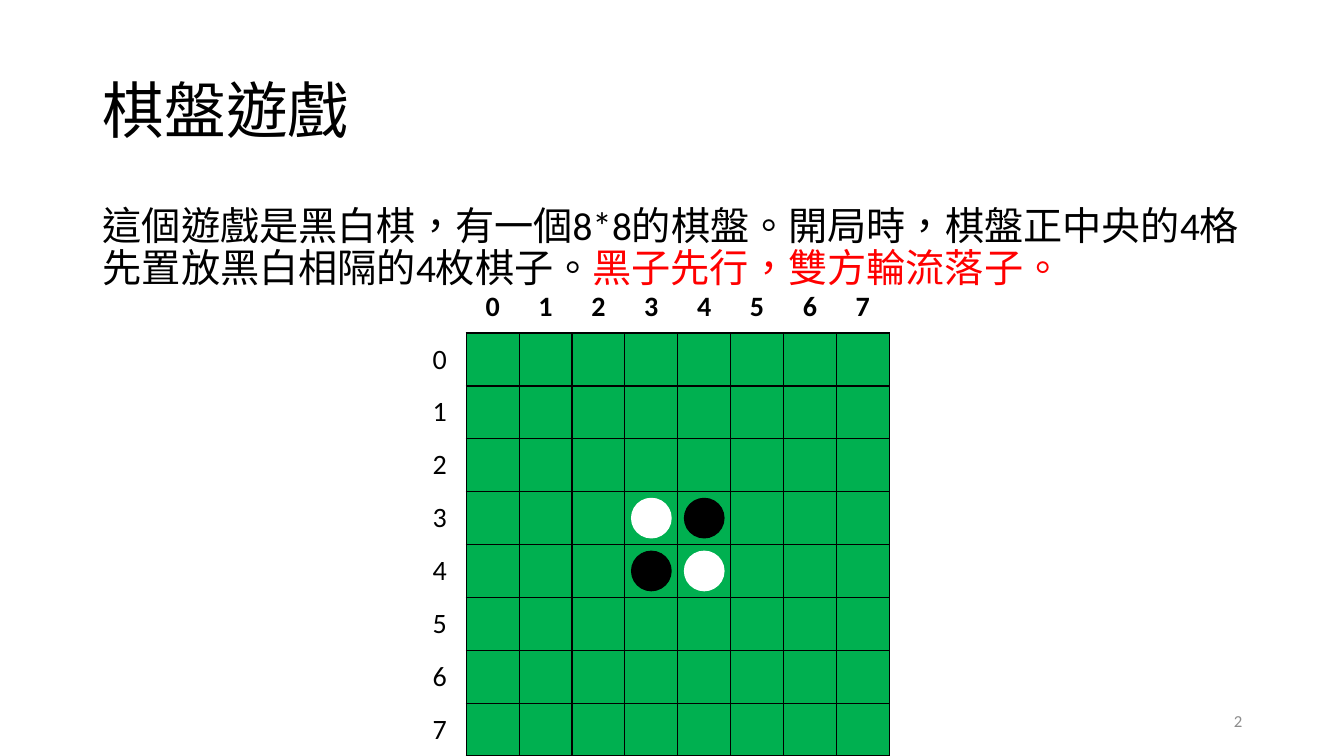
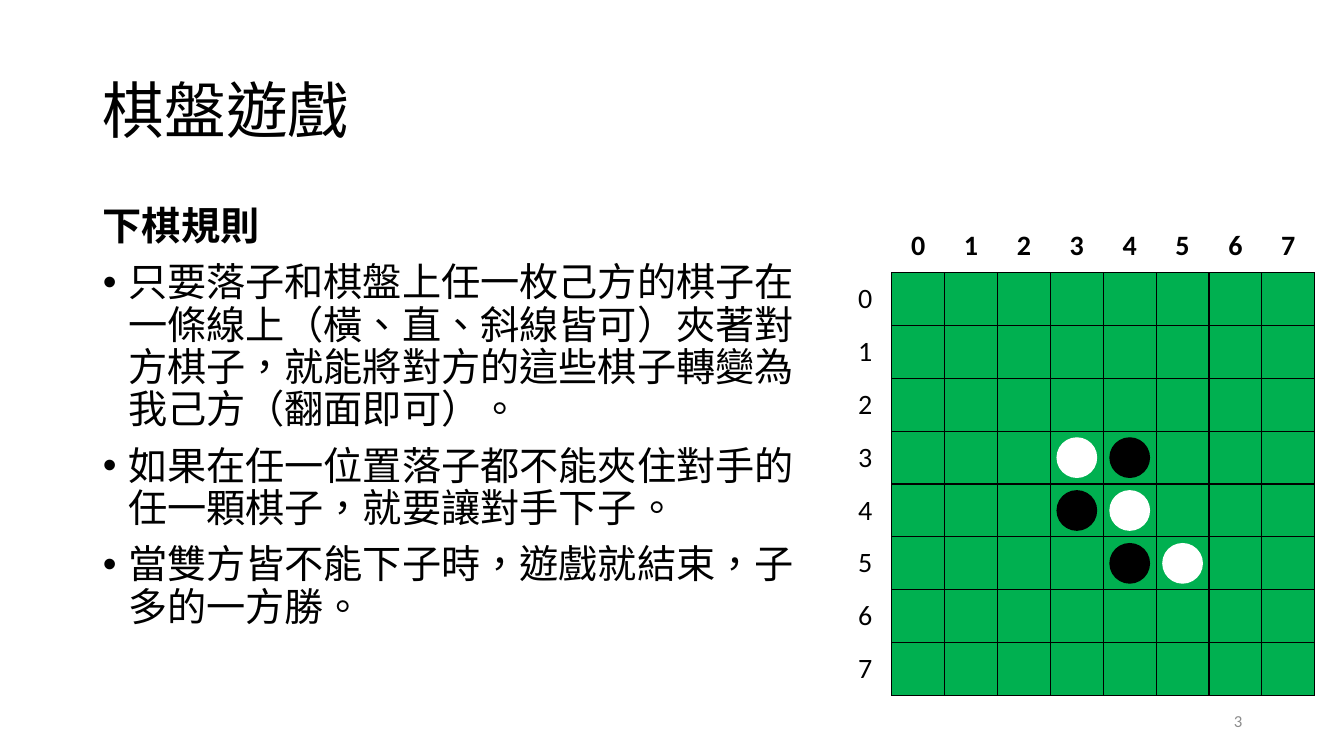
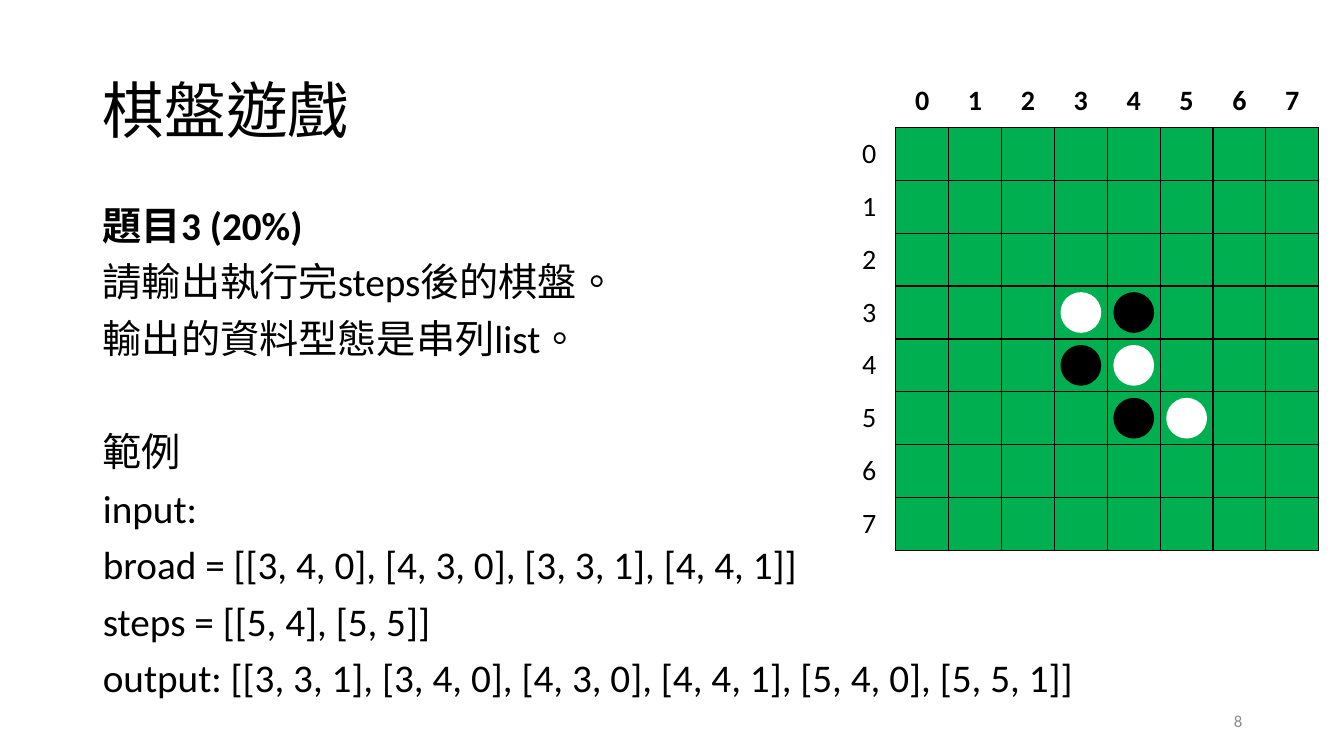
from lxml import etree
from pptx import Presentation
from pptx.dml.color import RGBColor
from pptx.enum.shapes import MSO_SHAPE
from pptx.enum.text import MSO_ANCHOR, MSO_AUTO_SIZE, PP_ALIGN
from pptx.oxml.ns import qn
from pptx.util import Emu, Pt

LEFT, CENTER, RIGHT = PP_ALIGN.LEFT, PP_ALIGN.CENTER, PP_ALIGN.RIGHT
TOP, MIDDLE = MSO_ANCHOR.TOP, MSO_ANCHOR.MIDDLE
NO_FIT = MSO_AUTO_SIZE.NONE
OVAL = MSO_SHAPE.OVAL

# Shared look: 100 px to the inch
SCALE = 9144
FONT, LANG = "Calibri", "zh-TW"
BLACK, WHITE, RED, GREY, GREEN = "000000", "FFFFFF", "FF0000", "8C8C8C", "00B050"
TITLE = "棋盤遊戲"
TITLE_BOX = (92, 40, 1150, 145)
NUMBER_BOX = (942, 695, 300, 40)
BOARD, SQUARES, DISC = 472, 8, 39
INDENT = 25

OPENING = [(3, 3, WHITE), (4, 3, BLACK), (3, 4, BLACK), (4, 4, WHITE)]
AFTER_STEPS = OPENING + [(5, 4, BLACK), (5, 5, WHITE)]


def px(n):
    return Emu(round(n * SCALE))


def rgb(color):
    return RGBColor.from_string(color)


def place(shape, box):
    shape.left, shape.top, shape.width, shape.height = map(px, box)


def add_run(p, text, size, color=BLACK, bold=False):
    r = p.add_run()
    r.text = text
    r.font.name, r.font.size, r.font.bold = FONT, Pt(size), bold
    r.font.color.rgb = rgb(color)
    r._r.get_or_add_rPr().set("lang", LANG)


def set_bullet(p, bullet):
    pPr = p._p.get_or_add_pPr()
    indent = px(INDENT) if bullet else 0
    pPr.set("marL", str(indent))
    pPr.set("indent", str(-indent))
    if bullet:
        etree.SubElement(pPr, qn("a:buFont")).set("typeface", "Arial")
        etree.SubElement(pPr, qn("a:buChar")).set("char", "•")
    else:
        etree.SubElement(pPr, qn("a:buNone"))


def set_frame(tf, anchor):
    tf.word_wrap, tf.auto_size, tf.vertical_anchor = True, NO_FIT, anchor


def add_page(prs, number):
    """Slide with its title and page number."""
    s = prs.slides.add_slide(prs.slide_layouts[1])
    place(s.shapes.title, TITLE_BOX)
    tf = s.shapes.title.text_frame
    set_frame(tf, MIDDLE)
    p = tf.paragraphs[0]
    p.alignment, p.line_spacing = LEFT, 0.9
    add_run(p, TITLE, 44)

    tf = s.shapes.add_textbox(*map(px, NUMBER_BOX)).text_frame
    set_frame(tf, MIDDLE)
    p = tf.paragraphs[0]
    p.alignment = RIGHT
    add_run(p, str(number), 12, GREY)
    return s


def add_body(s, box, paragraphs):
    """Body text; each paragraph is (runs, bullet, space before)."""
    body = s.placeholders[1]
    place(body, box)
    tf = body.text_frame
    set_frame(tf, TOP)
    for i, (runs, bullet, gap) in enumerate(paragraphs):
        p = tf.add_paragraph() if i else tf.paragraphs[0]
        p.alignment, p.line_spacing, p.space_before = LEFT, 0.9, Pt(gap)
        set_bullet(p, bullet)
        for text, color, bold in runs:
            add_run(p, text, 28, color, bold)


def line(text, bold=False, bullet=False, gap=10):
    return [(text, BLACK, bold)], bullet, gap


def set_borders(cell, black_sides):
    tcPr = cell._tc.get_or_add_tcPr()
    for side in "LRTB":
        ln = etree.SubElement(tcPr, qn("a:ln" + side), w=str(Pt(1)))
        if side in black_sides:
            fill = etree.SubElement(ln, qn("a:solidFill"))
            etree.SubElement(fill, qn("a:srgbClr"), val=BLACK)
        else:
            etree.SubElement(ln, qn("a:noFill"))


def add_board(s, left, top, discs):
    """Labelled board, with discs given as (row, column, colour)."""
    n = SQUARES + 1
    pitch = BOARD / n
    table = s.shapes.add_table(n, n, px(left), px(top), px(BOARD), px(BOARD)).table
    table.first_row = table.horz_banding = False
    for i in range(n):
        table.columns[i].width = table.rows[i].height = px(pitch)
    for row in range(n):
        for col in range(n):
            cell = table.cell(row, col)
            if row and col:
                set_borders(cell, "LRTB")
                cell.fill.solid()
                cell.fill.fore_color.rgb = rgb(GREEN)
                continue
            # Labels along the top and the left side
            set_borders(cell, "B" if col else "R" if row else "")
            cell.fill.background()
            if row or col:
                cell.vertical_anchor = MIDDLE
                p = cell.text_frame.paragraphs[0]
                p.alignment = CENTER
                add_run(p, str(max(row, col) - 1), 20, bold=row == 0)

    # Discs centred in their squares
    for row, col, color in discs:
        x, y = [start + (k + 1.5) * pitch - DISC / 2
                for start, k in ((left, col), (top, row))]
        disc = s.shapes.add_shape(OVAL, px(x), px(y), px(DISC), px(DISC))
        disc.shadow.inherit = False
        disc.fill.solid()
        disc.fill.fore_color.rgb = disc.line.color.rgb = rgb(color)
        disc.line.width = Pt(1)


def main():
    prs = Presentation()
    prs.slide_width, prs.slide_height = px(1333), px(750)

    # The game
    s = add_page(prs, 2)
    intro = [("這個遊戲是黑白棋，有一個8*8的棋盤。開局時，棋盤正中央的4格先置放黑白相隔的4枚棋子。",
              BLACK, False), ("黑子先行，雙方輪流落子。", RED, False)]
    add_body(s, (92, 200, 1150, 476), [(intro, False, 10)])
    add_board(s, 410, 278, OPENING)

    # The rules
    s = add_page(prs, 3)
    rules = ["只要落子和棋盤上任一枚己方的棋子在一條線上（橫、直、斜線皆可）夾著對方棋子，"
             "就能將對方的這些棋子轉變為我己方（翻面即可）。",
             "如果在任一位置落子都不能夾住對手的任一顆棋子，就要讓對手下子。",
             "當雙方皆不能下子時，遊戲就結束，子多的一方勝。"]
    add_body(s, (92, 200, 741, 476), [line("下棋規則", bold=True)]
             + [line(rule, bullet=True) for rule in rules])
    add_board(s, 832, 218, AFTER_STEPS)

    # The exercise
    s = add_page(prs, 8)
    add_body(s, (92, 200, 1150, 550), [
        line("題目3 (20%)", bold=True),
        line("請輸出執行完steps後的棋盤。"),
        line("輸出的資料型態是串列list。"),
        line("範例", gap=51),
        line("input:"),
        line("broad = [[3, 4, 0], [4, 3, 0], [3, 3, 1], [4, 4, 1]]"),
        line("steps = [[5, 4], [5, 5]]"),
        line("output: [[3, 3, 1], [3, 4, 0], [4, 3, 0], [4, 4, 1], [5, 4, 0], [5, 5, 1]]"),
    ])
    add_board(s, 836, 74, AFTER_STEPS)

    prs.save("out.pptx")


if __name__ == "__main__":
    main()
